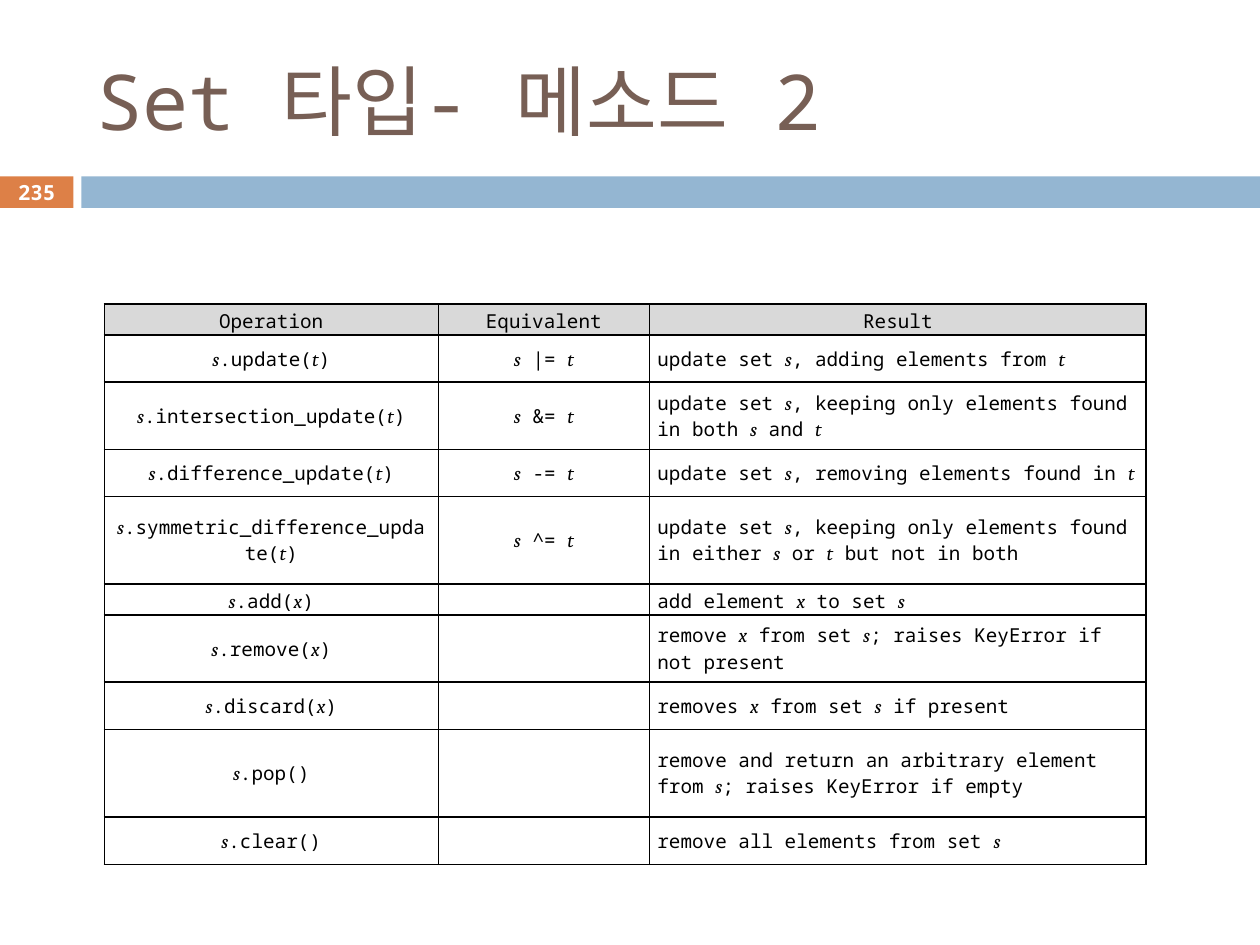
from dataclasses import dataclass

from lxml.etree import SubElement
from pptx import Presentation
from pptx.dml.color import RGBColor
from pptx.enum.shapes import MSO_SHAPE
from pptx.enum.text import MSO_ANCHOR, PP_ALIGN
from pptx.oxml.ns import qn
from pptx.slide import Slide
from pptx.table import _Cell
from pptx.text.text import TextFrame
from pptx.util import Pt

ORANGE = RGBColor(0xDD, 0x80, 0x47)
BLUE = RGBColor(0x94, 0xB6, 0xD2)
BROWN = RGBColor(0x77, 0x5F, 0x55)
GREY = RGBColor(0xD9, 0xD9, 0xD9)
BLACK = RGBColor(0, 0, 0)
WHITE = RGBColor(0xFF, 0xFF, 0xFF)

MONO = "Noto Sans Mono"
SERIF = "Cambria"
NO_BREAK_SPACE = chr(160)
THICK, THIN = 1, 0.6
CELL_SIZE = 11


@dataclass(frozen=True)
class Box:
    left: float
    top: float
    width: float
    height: float

    def lengths(self) -> tuple[Pt, Pt, Pt, Pt]:
        return Pt(self.left), Pt(self.top), Pt(self.width), Pt(self.height)


@dataclass(frozen=True)
class Method:
    operation: str
    equivalent: str
    result: str
    height: float


COLUMN_WIDTHS = (190.8, 120.8, 283.8)
METHODS = (
    Method("Operation", "Equivalent", "Result", 16),
    Method("*s*.update(*t*)", "*s*~|=~*t*",
           "update set~*s*, adding elements from~*t*", 27),
    Method("*s*.intersection_update(*t*)", "*s*~&=~*t*",
           "update set~*s*, keeping only elements found in both~*s*~and~*t*", 38.4),
    Method("*s*.difference_update(*t*)", "*s*~-=~*t*",
           "update set~*s*, removing elements found in~*t*", 27),
    Method("*s*.symmetric_difference_update(*t*)", "*s*~^=~*t*",
           "update set~*s*, keeping only elements found in either~*s*~or~*t*~but not in both", 50),
    Method("*s*.add(*x*)", "", "add element~*x*~to set~*s*", 16),
    Method("*s*.remove(*x*)", "",
           "remove~*x*~from set~*s*; raises KeyError if not present", 38.4),
    Method("*s*.discard(*x*)", "", "removes~*x*~from set~*s*~if present", 27),
    Method("*s*.pop()", "",
           "remove and return an arbitrary element from~*s*; raises~KeyError~if empty", 50),
    Method("*s*.clear()", "", "remove all elements from set~*s*", 27),
)


def write(frame: TextFrame, text: str, *, size: float, color: RGBColor,
          align: PP_ALIGN = PP_ALIGN.LEFT, bold: bool = False) -> None:
    frame.word_wrap = True
    paragraph = frame.paragraphs[0]
    paragraph.alignment = align
    for index, part in enumerate(text.split("*")):
        if not part:
            continue
        is_variable = index % 2 == 1
        run = paragraph.add_run()
        run.text = part.replace("~", NO_BREAK_SPACE)
        font = run.font
        font.size = Pt(size)
        font.bold = bold
        font.italic = is_variable
        font.color.rgb = color
        font.name = SERIF if is_variable else MONO
        SubElement(font._element, qn("a:ea"), typeface=font.name)
    if not text:
        ending = SubElement(paragraph._p, qn("a:endParaRPr"), sz=str(size * 100))
        SubElement(ending, qn("a:latin"), typeface=MONO)


def draw_band(slide: Slide, box: Box, color: RGBColor) -> None:
    band = slide.shapes.add_shape(MSO_SHAPE.RECTANGLE, *box.lengths())
    band.shadow.inherit = False
    band.fill.solid()
    band.fill.fore_color.rgb = color
    band.line.fill.background()


def draw_label(slide: Slide, box: Box, text: str, *, size: float, color: RGBColor,
               align: PP_ALIGN = PP_ALIGN.LEFT, bold: bool = False) -> None:
    frame = slide.shapes.add_textbox(*box.lengths()).text_frame
    frame.vertical_anchor = MSO_ANCHOR.MIDDLE
    write(frame, text, size=size, color=color, align=align, bold=bold)


def set_borders(cell: _Cell, **widths: float) -> None:
    properties = cell._tc.get_or_add_tcPr()
    for side, width in widths.items():
        line = SubElement(properties, qn(f"a:ln{side}"), w=str(Pt(width)))
        fill = SubElement(line, qn("a:solidFill"))
        SubElement(fill, qn("a:srgbClr"), val=str(BLACK))


def draw_methods(slide: Slide, left: float, top: float) -> None:
    box = Box(left, top, sum(COLUMN_WIDTHS), sum(method.height for method in METHODS))
    table = slide.shapes.add_table(len(METHODS), len(COLUMN_WIDTHS), *box.lengths()).table
    table.first_row = False
    table.horz_banding = False
    for column, width in zip(table.columns, COLUMN_WIDTHS):
        column.width = Pt(width)
    last_row, last_column = len(METHODS) - 1, len(COLUMN_WIDTHS) - 1
    for r, method in enumerate(METHODS):
        table.rows[r].height = Pt(method.height)
        for c, text in enumerate((method.operation, method.equivalent, method.result)):
            cell = table.cell(r, c)
            cell.vertical_anchor = MSO_ANCHOR.MIDDLE
            cell.margin_left = cell.margin_right = Pt(4.5)
            cell.margin_top = cell.margin_bottom = Pt(2.25)
            set_borders(cell,
                        L=THICK if c == 0 else THIN,
                        R=THICK if c == last_column else THIN,
                        T=THICK,
                        B=THIN if r == last_row else THICK)
            cell.fill.solid()
            cell.fill.fore_color.rgb = GREY if r == 0 else WHITE
            is_description = r > 0 and c == last_column
            write(cell.text_frame, text, size=CELL_SIZE, color=BLACK,
                  align=PP_ALIGN.LEFT if is_description else PP_ALIGN.CENTER)


def main() -> None:
    presentation = Presentation()
    presentation.slide_width = Pt(720)
    presentation.slide_height = Pt(540)
    slide = presentation.slides.add_slide(presentation.slide_layouts[6])

    draw_band(slide, Box(0, 100.8, 42, 18), ORANGE)
    draw_band(slide, Box(46.5, 100.8, 673.5, 18), BLUE)
    draw_label(slide, Box(48, 18, 642, 78), "Set 타입- 메소드 2", size=44, color=BROWN)
    draw_methods(slide, 59.6, 173.7)
    draw_label(slide, Box(0, 100, 42, 19.5), "235", size=11.9, color=WHITE,
               align=PP_ALIGN.CENTER, bold=True)
    presentation.save("out.pptx")


if __name__ == "__main__":
    main()
